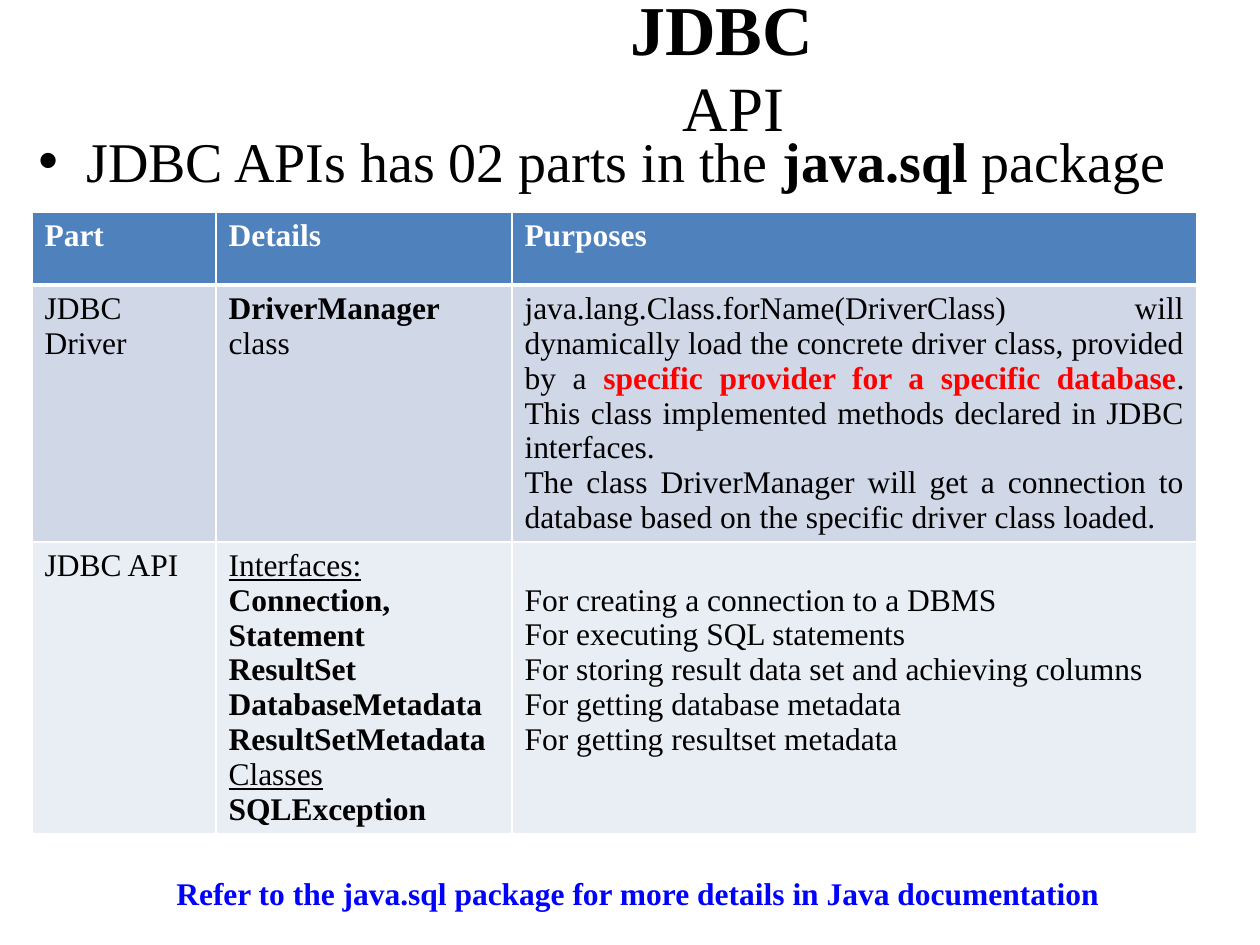
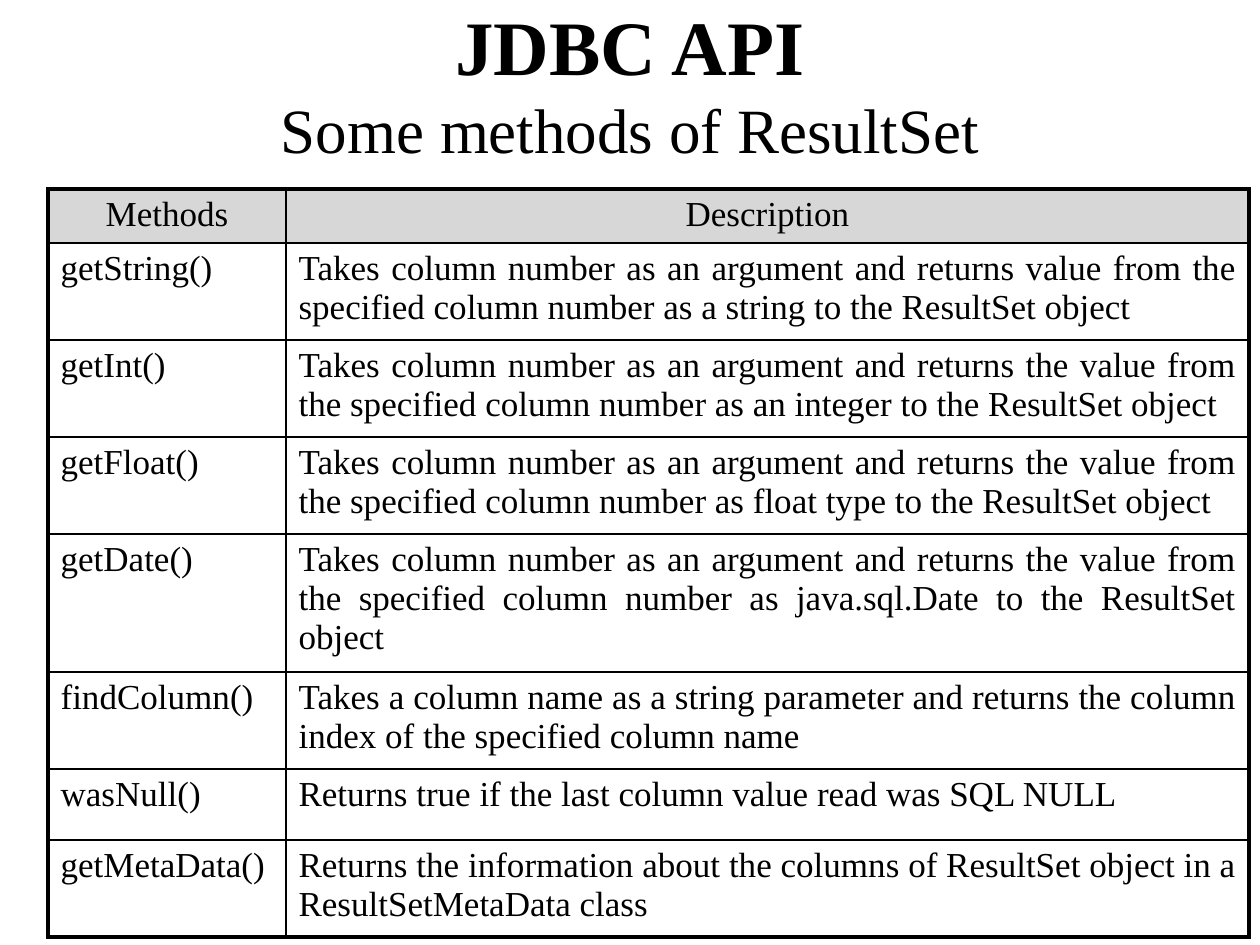
"""Build two slides on the JDBC API with one shared style."""
import lxml.etree
import pptx
import pptx.dml.color
import pptx.enum.text
import pptx.oxml.ns
import pptx.util

RGB = pptx.dml.color.RGBColor
BLACK = RGB(0, 0, 0)
WHITE = RGB(255, 255, 255)
RED = RGB(255, 0, 0)
BLUE = RGB(0, 0, 255)
STEEL = RGB(0x4F, 0x81, 0xBD)
MIST = RGB(0xD0, 0xD8, 0xE8)
PALE = RGB(0xE9, 0xED, 0xF4)
GREY = RGB(0xD7, 0xD7, 0xD7)
ALIGN = pptx.enum.text.PP_ALIGN
FIT = pptx.enum.text.MSO_AUTO_SIZE
ANCHOR = pptx.enum.text.MSO_ANCHOR
FONT = "Times New Roman"
SCALE = 914400 / 126
BOLD = {"bold": True}
UNDER = {"underline": True}


def px(*sizes):
    return [pptx.util.Emu(round(size * SCALE)) for size in sizes]


def node(parent, tag, **attrs):
    return lxml.etree.SubElement(parent, pptx.oxml.ns.qn(tag), **attrs)


class Deck:
    def __init__(self):
        self.prs = pptx.Presentation()
        self.prs.slide_width, self.prs.slide_height = px(1260, 945)
        self.slide = None

    def start(self):
        self.slide = self.prs.slides.add_slide(self.prs.slide_layouts[5])

    def fill_par(self, par, parts, size, color=BLACK):
        for part in parts:
            text, style = (part, {}) if isinstance(part, str) else part
            run = par.add_run()
            run.text = text
            run.font.name = FONT
            run.font.size = pptx.util.Pt(style.get("size", size))
            run.font.bold = style.get("bold", False)
            run.font.underline = style.get("underline", False)
            run.font.color.rgb = style.get("color", color)

    def lead(self, par):
        par.space_before = pptx.util.Pt(0)
        space = par._p.pPr.find(pptx.oxml.ns.qn("a:spcBef"))
        space.remove(space[0])
        node(space, "a:spcPct", val="20000")

    def title(self, box, head, size, rest, spacing=None):
        shape = self.slide.shapes.title
        shape.left, shape.top, shape.width, shape.height = px(*box)
        frame = shape.text_frame
        frame.auto_size = FIT.NONE
        frame.vertical_anchor = ANCHOR.MIDDLE
        par = frame.paragraphs[0]
        par.alignment = ALIGN.CENTER
        par.line_spacing = spacing
        self.fill_par(par, [(head, BOLD)], size)
        par.add_line_break()
        gap = par._p.find(pptx.oxml.ns.qn("a:br"))
        node(gap, "a:rPr", sz=str(size * 100))
        self.fill_par(par, rest, 36)

    def text(self, box, parts, size, color=BLACK, wrap=True):
        frame = self.slide.shapes.add_textbox(*px(*box)).text_frame
        frame.word_wrap = wrap
        frame.auto_size = FIT.NONE if wrap else FIT.SHAPE_TO_FIT_TEXT
        par = frame.paragraphs[0]
        self.fill_par(par, parts, size, color)
        return par

    def bullet(self, box, parts, size):
        par = self.text(box, parts, size)
        par.alignment = ALIGN.JUSTIFY
        self.lead(par)
        props = par._p.pPr
        indent = px(48)[0]
        props.set("marL", str(indent))
        props.set("indent", str(-indent))
        node(props, "a:buFont", typeface="Arial")
        node(props, "a:buChar", char="\u2022")

    def edge(self, cell, color, widths):
        props = cell._tc.get_or_add_tcPr()
        for spot, (side, width) in enumerate(zip("LRTB", widths)):
            line = node(props, "a:ln" + side, w=str(pptx.util.Pt(width)))
            node(node(line, "a:solidFill"), "a:srgbClr", val=str(color))
            props.insert(spot, line)

    def table(self, spot, cols, rows, data, size, fills, line,
              outer=1, under=1, head=(ALIGN.LEFT, WHITE, True), lead=False):
        last, end = len(rows) - 1, len(cols) - 1
        box = px(*spot, sum(cols), sum(rows))
        grid = self.slide.shapes.add_table(last + 1, end + 1, *box).table
        grid.first_row = grid.horz_banding = False
        for col, width in zip(grid.columns, px(*cols)):
            col.width = width
        for row, height in zip(grid.rows, px(*rows)):
            row.height = height
        for r, row in enumerate(data):
            for c, lines in enumerate(row):
                cell = grid.cell(r, c)
                if fills[r]:
                    cell.fill.solid()
                    cell.fill.fore_color.rgb = fills[r]
                else:
                    cell.fill.background()
                self.edge(cell, line, (
                    outer if c == 0 else 1,
                    outer if c == end else 1,
                    outer if r == 0 else under if r == 1 else 1,
                    outer if r == last else under if r == 0 else 1))
                for i, parts in enumerate(lines):
                    frame = cell.text_frame
                    par = frame.add_paragraph() if i else frame.paragraphs[0]
                    if r == 0:
                        par.alignment, color, bold = head
                        parts = [(part, {"bold": bold}) for part in parts]
                    else:
                        color = BLACK
                        par.alignment = ALIGN.JUSTIFY if c == end else ALIGN.LEFT
                    self.fill_par(par, parts, size, color)
                    if lead:
                        self.lead(par)
        return grid


PARTS = [
    [[["Part"]], [["Details"]], [["Purposes"]]],
    [[["JDBC Driver"]],
     [[("DriverManager ", BOLD), "class"]],
     [["java.lang.Class.forName(DriverClass) will dynamically load the "
       "concrete driver class, provided by a ",
       ("specific provider for a specific database",
        {"bold": True, "color": RED}),
       ". This class implemented methods declared in JDBC interfaces."],
      ["The class DriverManager will get a connection to database based on "
       "the specific driver class loaded."]]],
    [[["JDBC API"]],
     [[("Interfaces:", UNDER)],
      *[[(name, BOLD)] for name in (
          "Connection,", "Statement", "ResultSet", "DatabaseMetadata",
          "ResultSetMetadata")],
      [("Classes", UNDER)], [("SQLException", BOLD)]],
     [["For creating a connection to a DBMS"],
      ["For executing SQL statements"],
      ["For storing result data set and achieving columns"],
      ["For getting database metadata"],
      ["For getting resultset metadata"]]],
]

TAKES = "Takes column number as an argument and returns "
FROM = TAKES + "the value from the specified column number as "
METHODS = [
    ("Methods", "Description"),
    ("getString()", TAKES + "value from the specified column number as a "
     "string to the ResultSet object"),
    ("getInt()", FROM + "an integer to the ResultSet object"),
    ("getFloat()", FROM + "float type to the ResultSet object"),
    ("getDate()", FROM + "java.sql.Date to the ResultSet object"),
    ("findColumn()", "Takes a column name as a string parameter and returns "
     "the column index of the specified column name"),
    ("wasNull()", "Returns true if the last column value read was SQL NULL"),
    ("getMetaData()", "Returns the information about the columns of ResultSet "
     "object in a ResultSetMetaData class"),
]

deck = Deck()

deck.start()
deck.title((183, 0, 1077, 156), "JDBC", 40, [(" ", {"size": 54}), "API"], 0.7)
deck.bullet((26, 120, 1234, 785),
            ["JDBC APIs has 02 parts in the ", ("java.sql", BOLD), " package"], 32)
grid = deck.table((32, 212), (184, 296, 685), (73, 257, 291), PARTS, 18,
                  (STEEL, MIST, PALE), WHITE, under=3)
uses = grid.cell(2, 2)
uses.margin_top = px(41)[0]
for par in uses.text_frame.paragraphs:
    par.alignment = ALIGN.LEFT
deck.text((164, 868, 958, 50),
          [("Refer to the java.sql package for more details in Java "
            "documentation", BOLD)], 18, BLUE, wrap=False)

deck.start()
deck.title((63, 0, 1134, 164), "JDBC API", 44, ["Some methods of ResultSet"])
deck.table((48, 189), (238, 963), (54, 97, 97, 97, 138, 97, 71, 97),
           [[[[text]] for text in row] for row in METHODS], 20,
           [GREY] + [None] * 7, BLACK, outer=2.25,
           head=(ALIGN.CENTER, BLACK, False), lead=True)

deck.prs.save("out.pptx")
